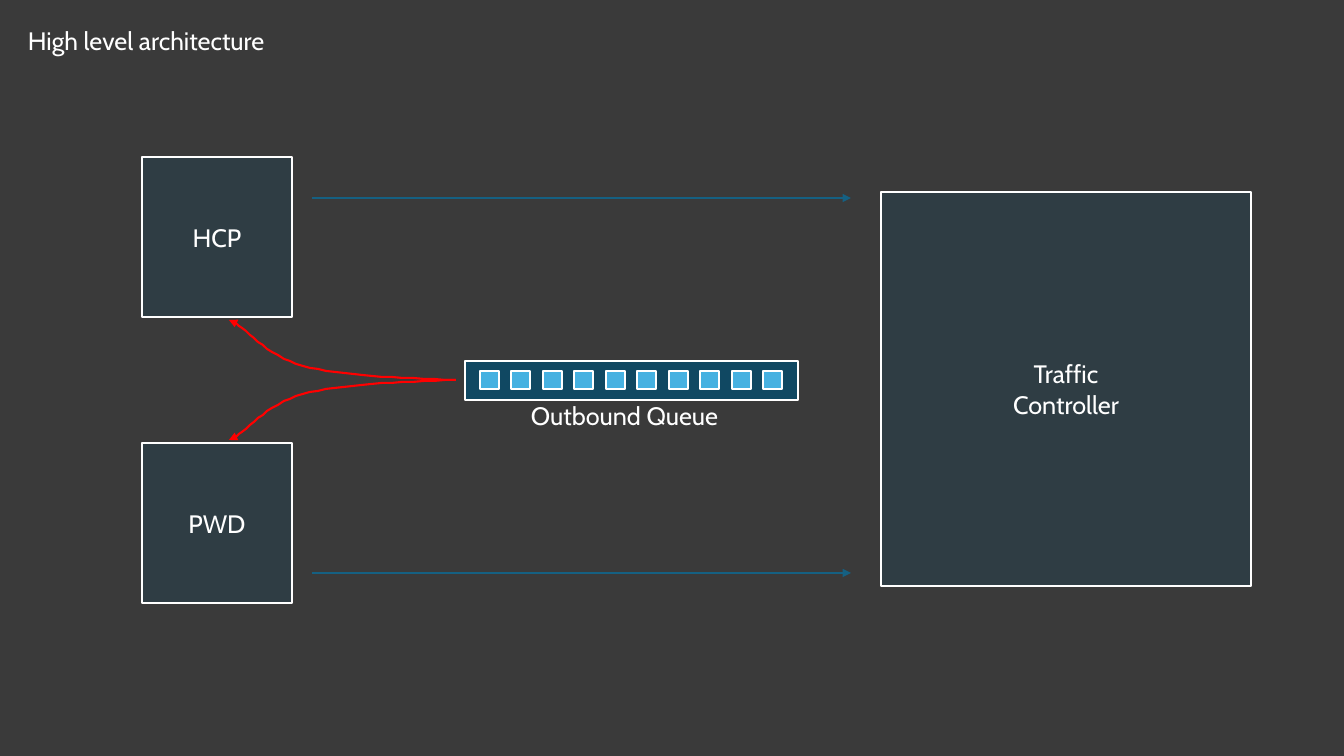
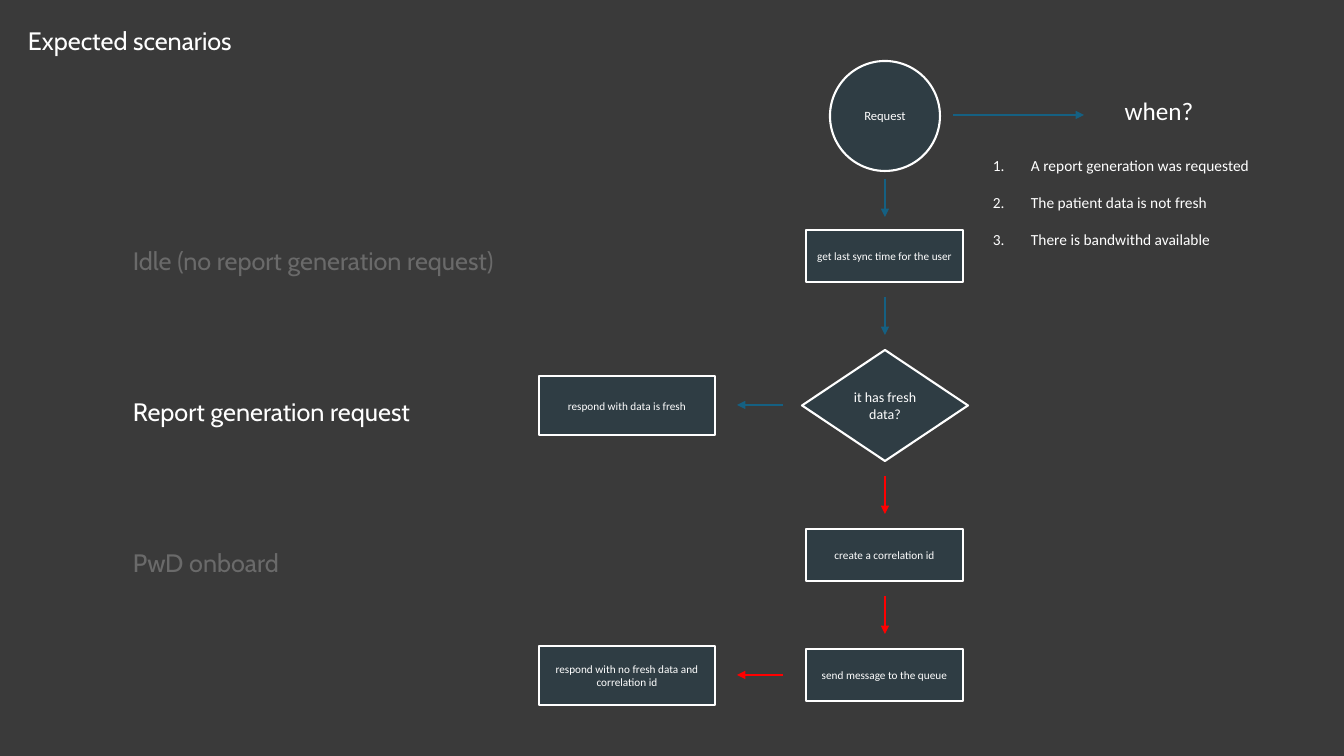
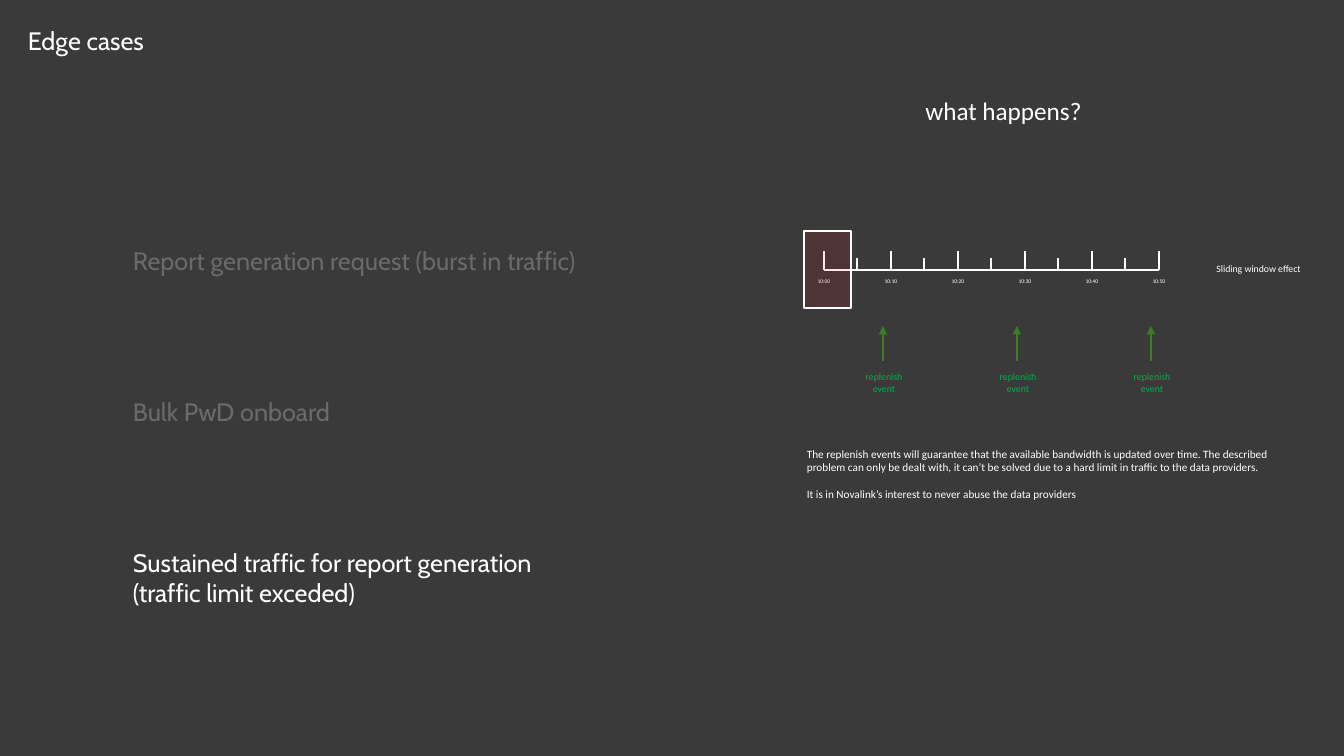
from dataclasses import dataclass

from lxml.etree import SubElement
from pptx import Presentation
from pptx.dml.color import RGBColor
from pptx.enum.shapes import MSO_CONNECTOR as Connector, MSO_SHAPE as Preset
from pptx.enum.text import MSO_ANCHOR as Anchor, PP_ALIGN as Align
from pptx.oxml.ns import qn
from pptx.util import Emu, Pt

EMU_PER_PX = 12192000 / 1344
SLIDE_W, SLIDE_H = 1344, 756


@dataclass(frozen=True)
class Theme:
    background: str = "3A3A3A"
    text: str = "FFFFFF"
    faded: str = "6A6A6A"
    panel: str = "104862"
    message: str = "46B1E1"
    flow: str = "156082"
    alert: str = "FF0000"
    event: str = "3B7D23"
    event_text: str = "00B050"
    heading_font: str = "Cabin"
    body_font: str = "Calibri"
    heading: int = 18
    list_item: int = 11
    decision: int = 10
    start: int = 9
    body: int = 8
    label: int = 7
    tick: int = 4
    line: float = 1.5


THEME = Theme()
HEADING = {"name": THEME.heading_font, "size": THEME.heading}
BODY = {"name": THEME.body_font, "size": THEME.body}


def px(value):
    return Emu(round(value * EMU_PER_PX))


def rgb(value):
    return RGBColor.from_string(value)


# ---- Text ----

def set_format(target, values):
    for name, value in values.items():
        setattr(target, name, value)


def write(frame, paragraphs, font, color=THEME.text, align=Align.LEFT, gap=0):
    """Fill a frame; gap is the space in points before each later paragraph."""
    frame.word_wrap = True
    for i, words in enumerate(paragraphs):
        paragraph = frame.paragraphs[0] if i == 0 else frame.add_paragraph()
        paragraph.text = words
        set_format(paragraph, {"alignment": align})
        if i and gap:
            paragraph.space_before = Pt(gap)
        set_format(paragraph.font, {**font, "size": Pt(font["size"])})
        paragraph.font.color.rgb = rgb(color)


def text(slide, box, paragraphs, font, **options):
    frame = slide.shapes.add_textbox(*map(px, box)).text_frame
    write(frame, paragraphs, font, **options)
    return frame


def number(paragraph, indent):
    props = paragraph._p.get_or_add_pPr()
    props.set("marL", str(px(indent)))
    props.set("indent", str(-px(indent)))
    SubElement(props, qn("a:buAutoNum"), type="arabicPeriod")


def add_numbered(frame, items, first_gap, gap):
    for i, item in enumerate(items):
        paragraph = frame.add_paragraph()
        paragraph.text = item
        paragraph.space_before = Pt(gap if i else first_gap)
        number(paragraph, 38)
        set_format(paragraph.font, {"name": THEME.body_font, "size": Pt(THEME.list_item)})
        paragraph.font.color.rgb = rgb(THEME.text)


# ---- Shapes and lines ----

def outline(line, color):
    line.color.rgb = rgb(color)
    line.width = Pt(THEME.line)


def add_arrowhead(line):
    SubElement(line._get_or_add_ln(), qn("a:tailEnd"), type="triangle")


def panel(slide, box, words=(), font=BODY, preset=Preset.RECTANGLE,
          fill=THEME.panel, opacity=25):
    shape = slide.shapes.add_shape(preset, *map(px, box))
    shape.shadow.inherit = False
    shape.fill.solid()
    shape.fill.fore_color.rgb = rgb(fill)
    if opacity < 100:
        color = shape._element.spPr.find(qn("a:solidFill")).find(qn("a:srgbClr"))
        SubElement(color, qn("a:alpha"), val=str(opacity * 1000))
    outline(shape.line, THEME.text)
    if words:
        shape.text_frame.vertical_anchor = Anchor.MIDDLE
        write(shape.text_frame, words, font, align=Align.CENTER)


def straight(slide, start, end, color, arrow=False):
    connector = slide.shapes.add_connector(
        Connector.STRAIGHT, *map(px, (*start, *end)))
    outline(connector.line, color)
    if arrow:
        add_arrowhead(connector.line)
    SubElement(connector._element.spPr, qn("a:effectLst"))


def bezier(p0, p1, p2, p3, steps=16):
    """Points after p0 on a cubic curve."""
    for i in range(1, steps + 1):
        t = i / steps
        weights = ((1 - t) ** 3, 3 * t * (1 - t) ** 2, 3 * t ** 2 * (1 - t), t ** 3)
        yield tuple(sum(w * p[axis] for w, p in zip(weights, (p0, p1, p2, p3)))
                    for axis in (0, 1))


def curved_arrow(slide, start, first, second, color):
    points = [*bezier(start, *first), *bezier(first[-1], *second)]
    builder = slide.shapes.build_freeform(*start, scale=EMU_PER_PX)
    builder.add_line_segments(points, close=False)
    curve = builder.convert_to_shape()
    curve.shadow.inherit = False
    curve.fill.background()
    outline(curve.line, color)
    add_arrowhead(curve.line)


# ---- Shared slide parts ----

def new_slide(deck, title):
    slide = deck.slides.add_slide(deck.slide_layouts[6])
    text(slide, (18, 20, 672, 40), [title], HEADING)
    return slide


def topics(slide, names, active):
    for i, name in enumerate(names):
        text(slide, (123, 240 + 151 * i, 487, 40), [name], HEADING,
             color=THEME.text if i == active else THEME.faded)


# ---- Slides ----

def architecture(deck):
    slide = new_slide(deck, "High level architecture")
    panel(slide, (881, 192, 370, 394), ["Traffic", "Controller"], HEADING)
    for name, top, arrow_y in (("HCP", 157, 198), ("PWD", 443, 573)):
        panel(slide, (142, top, 150, 160), [name], HEADING)
        straight(slide, (312, arrow_y), (851, arrow_y), THEME.flow, arrow=True)

    # Outbound queue and its messages
    panel(slide, (465, 361, 333, 39), opacity=100)
    for i in range(10):
        panel(slide, (480 + 63 * i // 2, 371, 19, 18), fill=THEME.message, opacity=100)
    text(slide, (521, 395, 211, 40), ["Outbound Queue"], HEADING)

    # Deliveries, mirrored about the queue's axis
    axis = 380
    for side in (-1, 1):
        def at(x, away):
            return x, axis + side * away
        curved_arrow(slide, at(456, 0),
                     (at(398, 2), at(341, 4), at(303, 14)),
                     (at(265, 24), at(246, 54), at(229, 60)), THEME.alert)


def scenarios(deck):
    slide = new_slide(deck, "Expected scenarios")
    topics(slide, ["Idle (no report generation request)",
                   "Report generation request", "PwD onboard"], active=1)

    # Main flow
    panel(slide, (830, 61, 110, 110), ["Request"],
          {**BODY, "size": THEME.start}, Preset.OVAL)
    panel(slide, (802, 350, 166, 111), ["it has fresh data?"],
          {**BODY, "size": THEME.decision}, Preset.FLOWCHART_DECISION)
    for top, step in ((230, "get last sync time for the user"),
                      (529, "create a correlation id"),
                      (649, "send message to the queue")):
        panel(slide, (806, top, 157, 52), [step])
    for top, color in ((179, THEME.flow), (297, THEME.flow),
                       (476, THEME.alert), (596, THEME.alert)):
        straight(slide, (885, top), (885, top + 38), color, arrow=True)

    # Responses
    for top, response, color in (
            (376, "respond with data is fresh", THEME.flow),
            (646, "respond with no fresh data and correlation id", THEME.alert)):
        panel(slide, (539, top, 176, 59), [response])
        straight(slide, (783, top + 29), (737, top + 29), color, arrow=True)

    # Conditions
    straight(slide, (953, 115), (1084, 115), THEME.flow, arrow=True)
    conditions = text(slide, (983, 90, 352, 183), ["when?"],
                      {**BODY, "size": THEME.heading}, align=Align.CENTER)
    add_numbered(conditions, ["A report generation was requested",
                              "The patient data is not fresh",
                              "There is bandwithd available"], first_gap=22, gap=13.4)


def edge_cases(deck):
    slide = new_slide(deck, "Edge cases")
    topics(slide, ["Report generation request (burst in traffic)", "Bulk PwD onboard",
                   "Sustained traffic for report generation (traffic limit exceded)"],
           active=2)
    text(slide, (672, 90, 663, 59), ["what happens?"],
         {**BODY, "size": THEME.heading}, align=Align.CENTER)

    # Timeline: a tick every five minutes, a label every ten
    left, axis = 824, 270
    straight(slide, (left, axis), (left + 335, axis), THEME.text)
    for i in range(11):
        x = left + 67 * i // 2
        labelled = i % 2 == 0
        straight(slide, (x, axis), (x, axis - (19 if labelled else 12)), THEME.text)
        if labelled:
            text(slide, (x - 26, 273, 52, 19), [f"10:{5 * i:02}"],
                 {**BODY, "size": THEME.tick}, align=Align.CENTER)
    panel(slide, (804, 231, 47, 77), fill=THEME.alert, opacity=10)
    label_font = {**BODY, "size": THEME.label}
    text(slide, (1173, 258, 171, 27), ["Sliding window effect"], label_font,
         align=Align.CENTER)

    # Replenish events
    for i in range(3):
        x = 883 + 134 * i
        straight(slide, (x, 361), (x, 326), THEME.event, arrow=True)
        text(slide, (x - 37, 366, 76, 34), ["replenish event"], label_font,
             color=THEME.event_text, align=Align.CENTER)

    # Explanation
    text(slide, (797, 442, 509, 78), [
        "The replenish events will guarantee that the available bandwidth is updated "
        "over time. The described problem can only be dealt with, it can’t be solved "
        "due to a hard limit in traffic to the data providers.",
        "It is in Novalink’s interest to never abuse the data providers",
    ], BODY, gap=9.8)


def main():
    deck = Presentation()
    set_format(deck, {"slide_width": px(SLIDE_W), "slide_height": px(SLIDE_H)})
    backdrop = deck.slide_master.background.fill
    backdrop.solid()
    backdrop.fore_color.rgb = rgb(THEME.background)
    for build in (architecture, scenarios, edge_cases):
        build(deck)
    deck.save("out.pptx")


if __name__ == "__main__":
    main()
